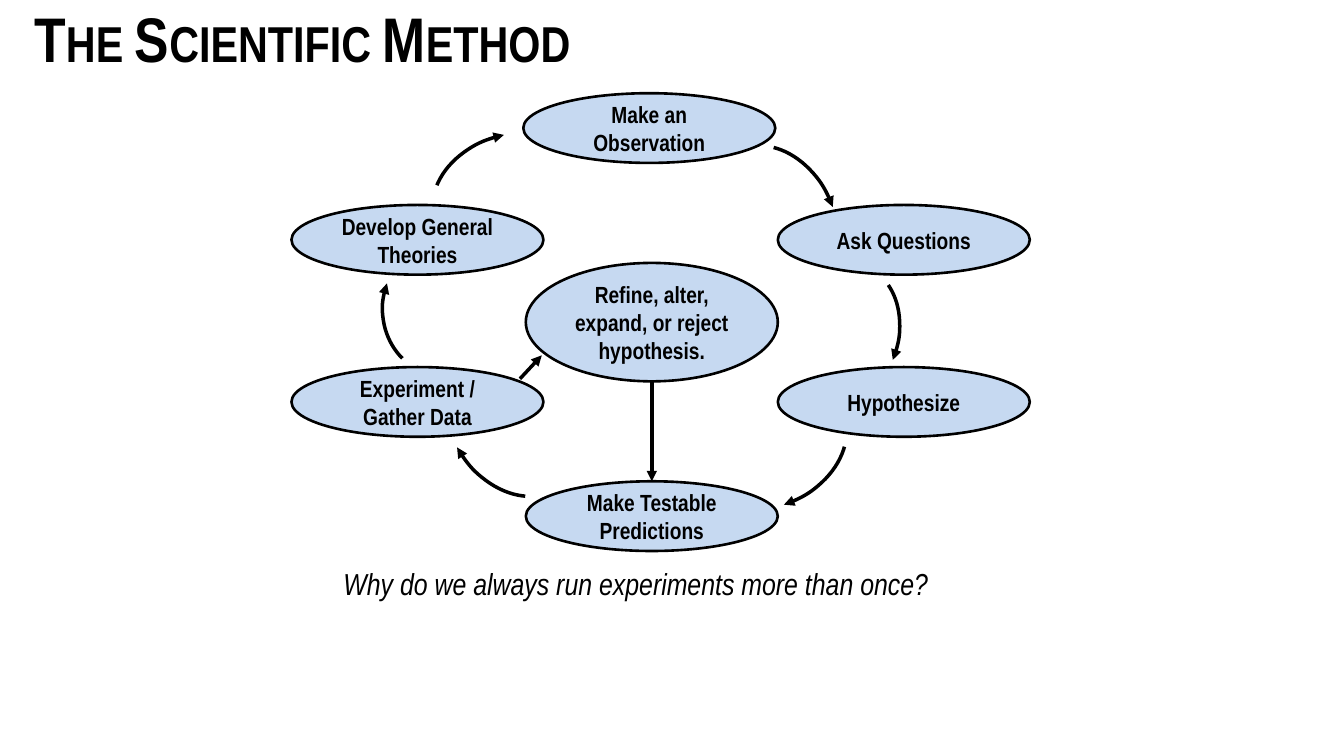
import dataclasses
import typing

import pptx
import pptx.dml.color
import pptx.enum.shapes
import pptx.enum.text
import pptx.oxml.ns
import pptx.util
from lxml import etree

COLS, ROWS = 16, 9
FONT = "Arial Narrow"
INK = {"text": "000000", "line": "000000", "node": "C6D9F1"}

deck = pptx.Presentation()
deck.slide_width = pptx.util.Inches(16)
deck.slide_height = pptx.util.Inches(9)
slide = deck.slides.add_slide(deck.slide_layouts[6])
shapes = slide.shapes


@dataclasses.dataclass
class Box:
    col: float
    row: float
    wide: float
    high: float


@dataclasses.dataclass
class Node:
    text: str
    col: float
    row: float
    high: float = 0.83


@dataclasses.dataclass
class Bend:
    box: Box
    turn: float


def across(cols: float) -> int:
    return round(deck.slide_width * cols / COLS)


def down(rows: float) -> int:
    return round(deck.slide_height * rows / ROWS)


def place(box: Box) -> tuple[int, int, int, int]:
    return across(box.col), down(box.row), across(box.wide), down(box.high)


def tint(name: str) -> pptx.dml.color.RGBColor:
    return pptx.dml.color.RGBColor.from_string(INK[name])


def write(shape: typing.Any, text: str, *, size: float, bold: bool = False,
          slant: bool = False, caps: bool = False, center: bool = True,
          middle: bool = True, pad: tuple[float, float] = (0.1, 0.05)) -> None:
    frame = shape.text_frame
    frame.word_wrap = True
    frame.margin_left = frame.margin_right = across(pad[0])
    frame.margin_top = frame.margin_bottom = down(pad[1])
    anchor = pptx.enum.text.MSO_ANCHOR
    frame.vertical_anchor = anchor.MIDDLE if middle else anchor.TOP
    para = frame.paragraphs[0]
    align = pptx.enum.text.PP_ALIGN
    para.alignment = align.CENTER if center else align.LEFT
    run = para.add_run()
    run.text = text
    font = run.font
    font.name, font.size = FONT, pptx.util.Pt(size)
    font.bold, font.italic = bold, slant
    font.color.rgb = tint("text")
    if caps:
        font._element.set("cap", "small")


def stroke(shape: typing.Any, width: float, arrow: bool = False) -> None:
    shape.line.color.rgb = tint("line")
    shape.line.width = pptx.util.Pt(width)
    if arrow:
        edge = shape.line._get_or_add_ln()
        etree.SubElement(edge, pptx.oxml.ns.qn("a:headEnd"), type="triangle")


def draw_node(node: Node) -> typing.Any:
    oval = shapes.add_shape(pptx.enum.shapes.MSO_SHAPE.OVAL,
                            *place(Box(node.col, node.row, 3, node.high)))
    oval.shadow.inherit = False
    oval.fill.solid()
    oval.fill.fore_color.rgb = tint("node")
    stroke(oval, 2.25)
    write(oval, node.text, size=20, bold=True)
    return oval


def draw_bend(bend: Bend) -> None:
    arc = shapes.add_shape(pptx.enum.shapes.MSO_SHAPE.ARC, *place(bend.box))
    arc.shadow.inherit = False
    arc.fill.background()
    arc.adjustments[0], arc.adjustments[1] = 162, 202.75
    arc.rotation = bend.turn
    arc.element.spPr.find(pptx.oxml.ns.qn("a:xfrm")).set("flipH", "1")
    stroke(arc, 3, arrow=True)


def draw_line(start: tuple[float, float], end: tuple[float, float]) -> typing.Any:
    line = shapes.add_connector(pptx.enum.shapes.MSO_CONNECTOR.STRAIGHT,
                                across(start[0]), down(start[1]),
                                across(end[0]), down(end[1]))
    stroke(line, 3, arrow=True)
    etree.SubElement(line._element.spPr, pptx.oxml.ns.qn("a:effectLst"))
    return line


# Ring of steps, clockwise from the top
LEFT, MID, RIGHT = 3.47, 6.26, 9.26
UPPER, LOWER, BASE = 2.44, 4.37, 5.73
STEPS = [
    Node("Make an Observation", 6.23, 1.11),
    Node("Ask Questions", RIGHT, UPPER),
    Node("Hypothesize", RIGHT, LOWER),
    Node("Make Testable Predictions", MID, BASE),
    Node("Experiment / Gather Data", LEFT, LOWER),
    Node("Develop General Theories", LEFT, UPPER),
]
ovals = [draw_node(step) for step in STEPS]

# Curved arrows between the steps
BENDS = [
    Bend(Box(8.15, 1.94, 2.04, 1.58), 70.3),
    Bend(Box(9.06, 3.31, 1.82, 1.42), 111.9),
    Bend(Box(8.06, 4.47, 2.04, 1.58), 161.3),
    Bend(Box(5.11, 4.15, 2.04, 1.58), 240.7),
    Bend(Box(4.5, 2.85, 1.7, 1.58), 289.7),
    Bend(Box(5.14, 1.59, 2.04, 1.58), 348.2),
]
for bend in BENDS:
    draw_bend(bend)

# Title
title = shapes.add_textbox(*place(Box(0.27, 0.1, 15.73, 0.7)))
write(title, "The Scientific Method", size=54, bold=True, caps=True,
      center=False, pad=(0.14, 0.07))

# Inner loop through the refined hypothesis
draw_line((6.45, 4.23), (6.19, 4.51))
refine = Node("Refine, alter, expand, or reject hypothesis.", MID, 3.13, 1.41)
draw_node(refine)
drop = draw_line((MID + 1.5, BASE), (MID + 1.5, refine.row + refine.high))
drop.begin_connect(ovals[3], 0)

# Closing question
ask = shapes.add_textbox(*place(Box(0.63, 6.68, 13.89, 0.54)))
write(ask, "Why do we always run experiments more than once?",
      size=26, slant=True, middle=False)

deck.save("out.pptx")
